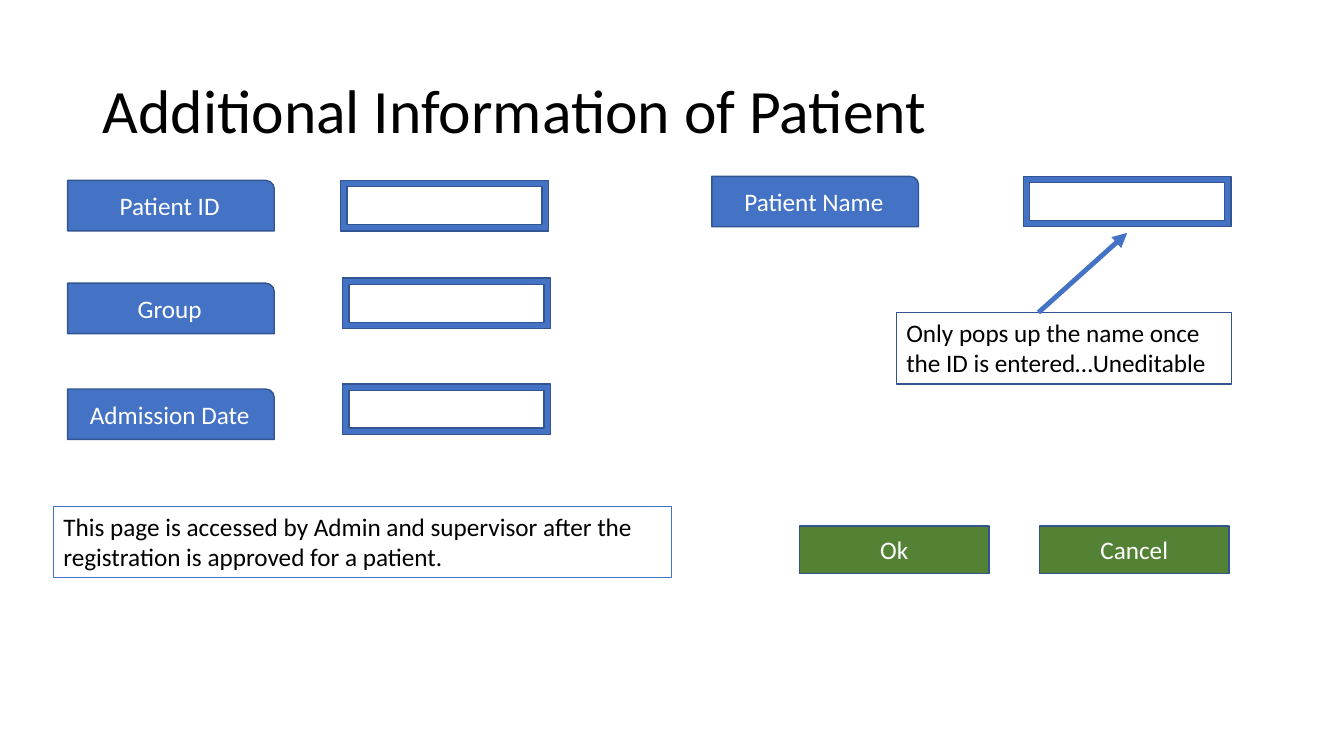
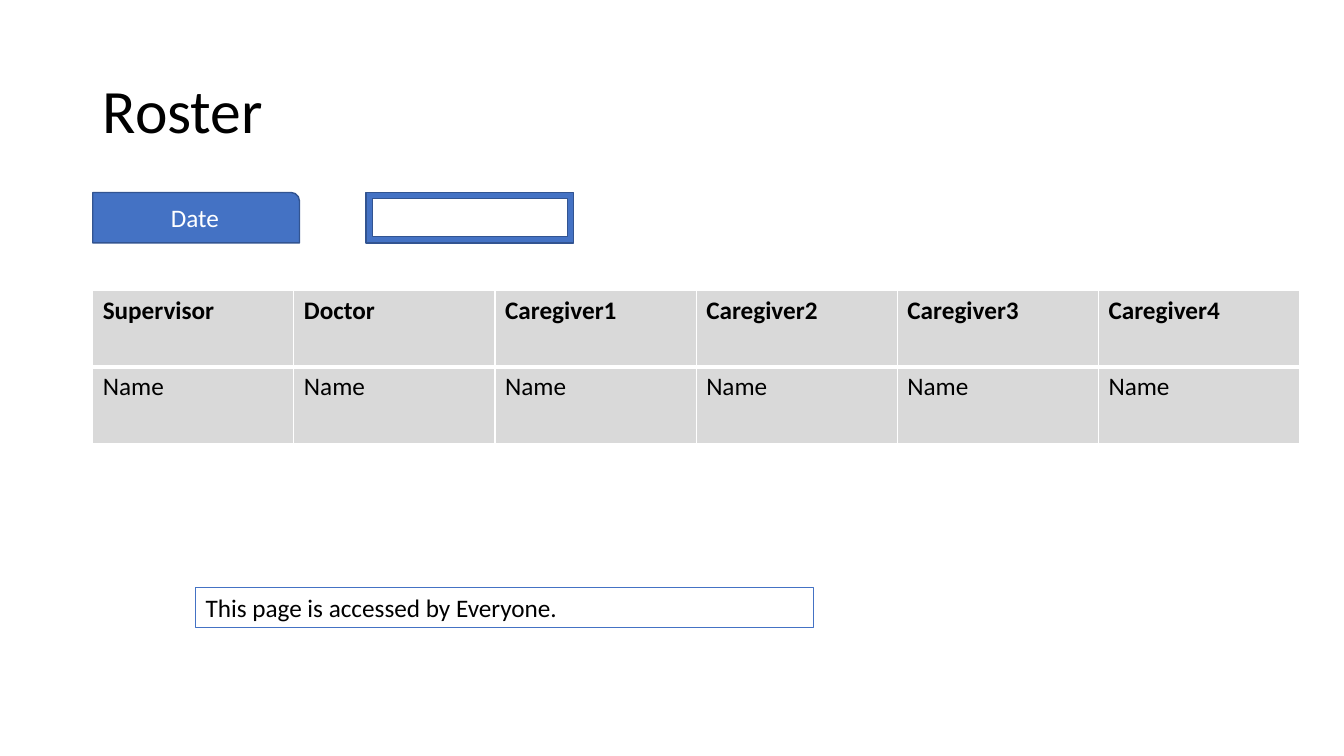
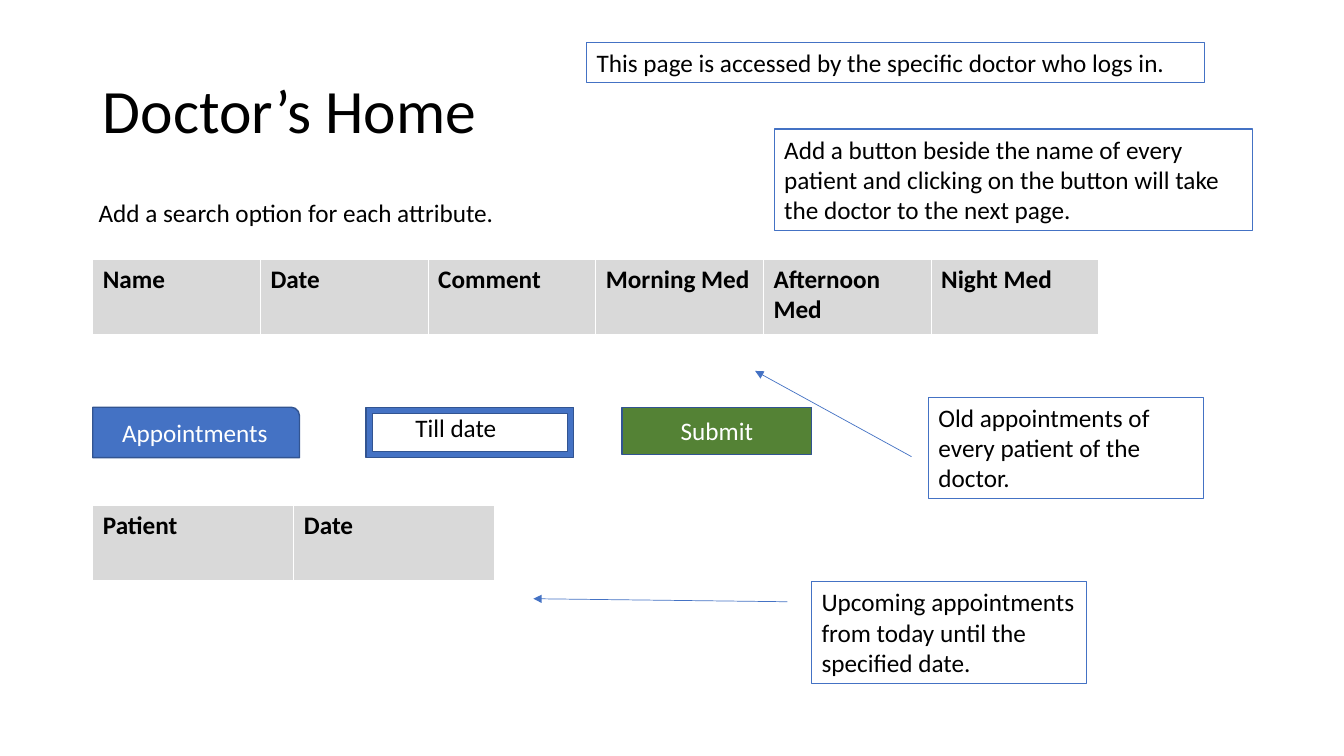
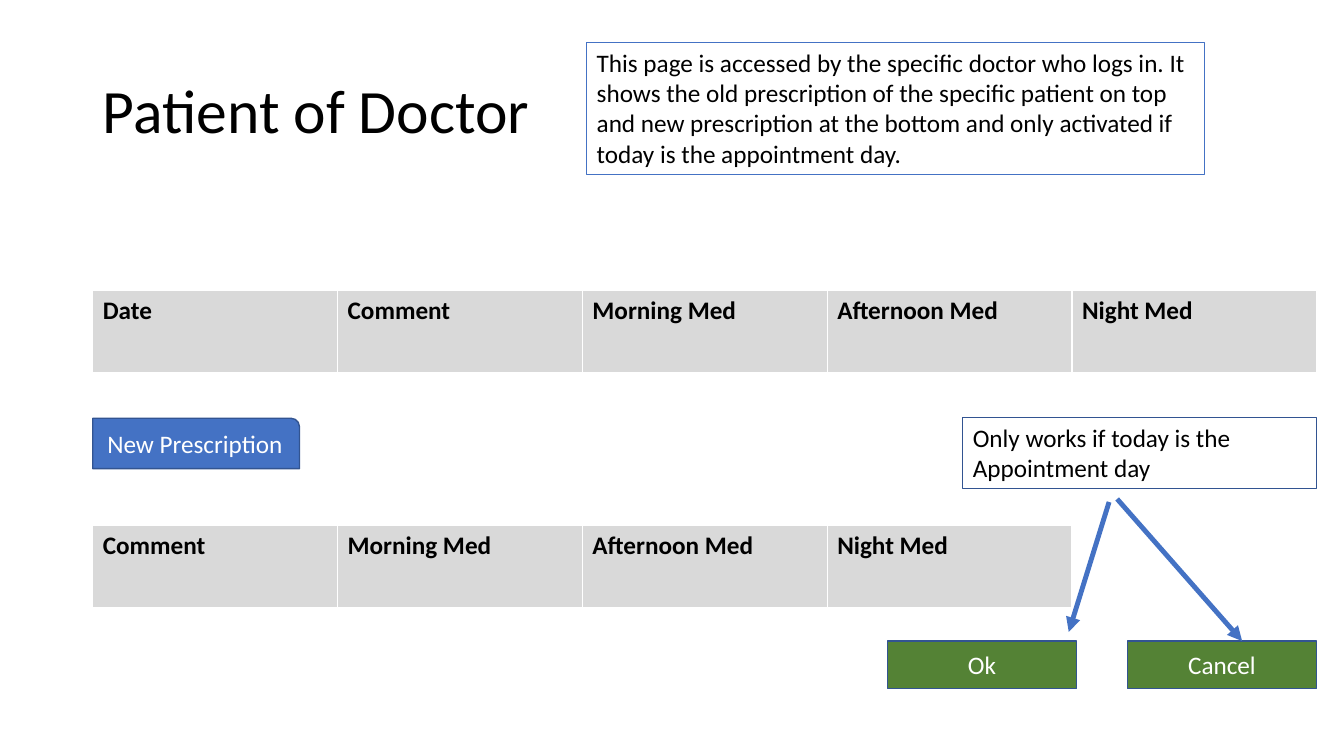
import pptx
import pptx.util
import pptx.dml.color
import pptx.enum.shapes
import pptx.enum.text
import pptx.oxml
import lxml.etree

Inches = pptx.util.Inches
Pt = pptx.util.Pt
RGB = pptx.dml.color.RGBColor.from_string
SHAPE = pptx.enum.shapes.MSO_SHAPE
ALIGN = pptx.enum.text.PP_ALIGN
ANCHOR = pptx.enum.text.MSO_ANCHOR
FIT = pptx.enum.text.MSO_AUTO_SIZE

# Shared style
FONT = "Calibri"
COLOR = {"blue": "4472C4", "navy": "325491", "green": "548235",
         "gray": "D9D9D9", "white": "FFFFFF", "black": "000000"}
NS = "http://schemas.openxmlformats.org/drawingml/2006/main"
LEFT = 0.92
NOTE = 6.13  # width of the wide notes

# Form parts: preset shape, width, height, fill
FORM = {
    "label": (SHAPE.ROUND_1_RECTANGLE, 2.05, 0.5, "blue"),
    "field": (SHAPE.FRAME, 2.06, 0.5, "blue"),
    "button": (SHAPE.RECTANGLE, 1.88, 0.47, "green"),
}

# Meds columns appear in three tables
MEDS = ["Comment", "Morning Med", "Afternoon Med", "Night Med"]

# forms: kind, left, top, text
# tables: left, top, column width, row height, rows
# notes: left, top, width, height, text, line colour
# arrows: start, end, weight
PAGES = [
    {
        "title": "Additional Information of Patient",
        "forms": [
            ("field", 3.4, 2.76, ""), ("label", 0.67, 2.81, "Group"),
            ("field", 3.38, 1.79, ""), ("label", 0.67, 1.79, "Patient ID"),
            ("field", 3.4, 3.81, ""), ("label", 0.67, 3.86, "Admission Date"),
            ("button", 7.93, 5.22, "Ok"), ("button", 10.31, 5.22, "Cancel"),
            ("label", 7.06, 1.75, "Patient Name"), ("field", 10.15, 1.75, ""),
        ],
        "notes": [
            (8.89, 3.1, 3.32, 0.71,
             "Only pops up the name once the ID is entered…Uneditable", "navy"),
            (0.53, 5.02, NOTE, 0.71,
             "This page is accessed by Admin and supervisor after the "
             "registration is approved for a patient.", "blue"),
        ],
        "arrows": [((10.3, 3.1), (11.18, 2.31), 3.5)],
    },
    {
        "title": "Roster",
        "forms": [("field", 3.63, 1.91, ""), ("label", LEFT, 1.91, "Date")],
        "tables": [
            (LEFT, 2.88, 1.995, 0.76,
             [["Supervisor", "Doctor"] + [f"Caregiver{n}" for n in range(1, 5)],
              ["Name"] * 6]),
        ],
        "notes": [(1.94, 5.83, NOTE, 0.4,
                   "This page is accessed by Everyone.", "blue")],
    },
    {
        "title": "Doctor’s Home",
        "forms": [
            ("field", 3.63, 4.04, ""), ("label", LEFT, 4.04, "Appointments"),
            ("button", 6.17, 4.04, "Submit"),
        ],
        "tables": [
            (LEFT, 5.01, 1.995, 0.76, [["Patient", "Date"]]),
            (LEFT, 2.57, 1.663, 0.76, [["Name", "Date"] + MEDS]),
        ],
        "notes": [
            (4.02, 4.04, 1.02, 0.4, "Till date", None),
            (0.88, 1.91, 4.17, 0.4, "Add a search option for each attribute.", None),
            (8.05, 5.77, 2.73, 1.01,
             "Upcoming appointments from today until the specified date.", "blue"),
            (5.82, 0.42, NOTE, 0.4,
             "This page is accessed by the specific doctor who logs in.", "blue"),
            (9.21, 3.94, 2.73, 1.01,
             "Old appointments of every patient of the doctor.", "blue"),
            (7.68, 1.28, 4.74, 1.01,
             "Add a button beside the name of every patient and clicking on the "
             "button will take the doctor to the next page.", "blue"),
        ],
        "arrows": [((7.81, 5.97), (5.29, 5.94), 0.5),
                   ((9.04, 4.53), (7.49, 3.68), 0.5)],
    },
    {
        "title": "Patient of Doctor",
        "forms": [
            ("label", LEFT, 4.15, "New Prescription"),
            ("button", 8.8, 6.36, "Ok"), ("button", 11.18, 6.36, "Cancel"),
        ],
        "tables": [
            (LEFT, 2.88, 2.428, 0.83, [["Date"] + MEDS]),
            (LEFT, 5.21, 2.428, 0.83, [MEDS]),
        ],
        "notes": [
            (9.55, 4.14, 3.51, 0.71,
             "Only works if today is the Appointment day", "navy"),
            (5.82, 0.42, NOTE, 1.31,
             "This page is accessed by the specific doctor who logs in. It shows "
             "the old prescription of the specific patient on top and new "
             "prescription at the bottom and only activated if today is the "
             "appointment day.", "blue"),
        ],
        "arrows": [((11.08, 4.95), (12.32, 6.36), 3.5),
                   ((11, 4.98), (10.6, 6.27), 3.5)],
    },
]


def write(frame, text, size=18, color="black", bold=False,
          align=ALIGN.LEFT, anchor=ANCHOR.TOP, space=1.0):
    frame.vertical_anchor = anchor
    para = frame.paragraphs[0]
    para.alignment = align
    para.line_spacing = space
    run = para.add_run()
    run.text = text
    run.font.name = FONT
    run.font.size = Pt(size)
    run.font.bold = bold
    run.font.color.rgb = RGB(COLOR[color])


def edge(cell, side, weight):
    line = pptx.oxml.parse_xml(
        f'<a:ln{side} xmlns:a="{NS}" w="{Pt(weight)}"><a:solidFill>'
        f'<a:srgbClr val="{COLOR["white"]}"/></a:solidFill></a:ln{side}>')
    cell._tc.get_or_add_tcPr().append(line)


deck = pptx.Presentation()
deck.slide_width = Inches(13.33)
deck.slide_height = Inches(7.5)

for page in PAGES:
    slide = deck.slides.add_slide(deck.slide_layouts[5])
    shapes = slide.shapes

    # Title
    title = shapes.title
    title.left, title.top = Inches(LEFT), Inches(0.4)
    title.width, title.height = Inches(11.5), Inches(1.45)
    write(title.text_frame, page["title"], size=44, anchor=ANCHOR.MIDDLE, space=0.9)

    # Labels, fields and buttons
    for kind, left, top, text in page["forms"]:
        preset, width, height, fill = FORM[kind]
        part = shapes.add_shape(preset, Inches(left), Inches(top),
                                Inches(width), Inches(height))
        part.shadow.inherit = False
        part.fill.solid()
        part.fill.fore_color.rgb = RGB(COLOR[fill])
        part.line.color.rgb = RGB(COLOR["navy"])
        part.line.width = Pt(1)
        if text:
            write(part.text_frame, text, color="white",
                  align=ALIGN.CENTER, anchor=ANCHOR.MIDDLE)

    # Tables
    for left, top, width, height, rows in page.get("tables", []):
        count = len(rows[0])
        table = shapes.add_table(len(rows), count, Inches(left), Inches(top),
                                 Inches(width * count),
                                 Inches(height * len(rows))).table
        table.horz_banding = False
        for r, row in enumerate(rows):
            for c, text in enumerate(row):
                cell = table.cell(r, c)
                write(cell.text_frame, text, bold=r == 0)
                # The rule under the header row is thicker
                edge(cell, "L", 1)
                edge(cell, "R", 1)
                edge(cell, "T", 3 if r == 1 else 1)
                edge(cell, "B", 3 if r == 0 else 1)
                cell.fill.solid()
                cell.fill.fore_color.rgb = RGB(COLOR["gray"])

    # Notes, boxed where a line colour is given
    for left, top, width, height, text, line in page["notes"]:
        note = shapes.add_textbox(Inches(left), Inches(top),
                                  Inches(width), Inches(height))
        note.text_frame.word_wrap = line is not None
        note.text_frame.auto_size = FIT.SHAPE_TO_FIT_TEXT
        if line:
            note.line.color.rgb = RGB(COLOR[line])
            note.line.width = Pt(0.75)
        write(note.text_frame, text)

    # Arrows
    for start, end, weight in page.get("arrows", []):
        arrow = shapes.add_connector(pptx.enum.shapes.MSO_CONNECTOR.STRAIGHT,
                                     *map(Inches, start + end))
        arrow.line.color.rgb = RGB(COLOR["blue"])
        arrow.line.width = Pt(weight)
        lxml.etree.SubElement(arrow.line._get_or_add_ln(),
                              f"{{{NS}}}tailEnd", type="triangle")
        lxml.etree.SubElement(arrow._element.spPr, f"{{{NS}}}effectLst")

deck.save("out.pptx")
